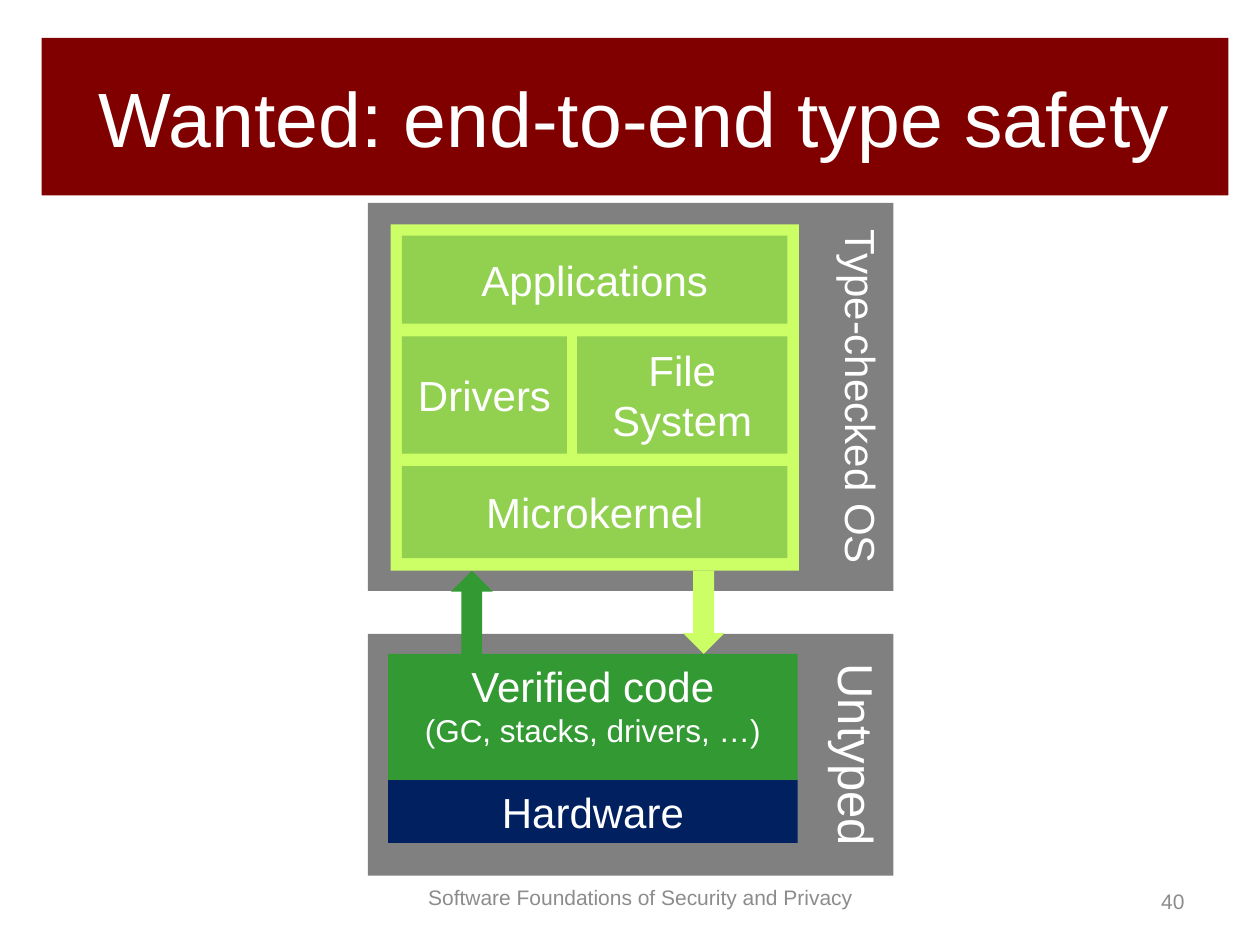
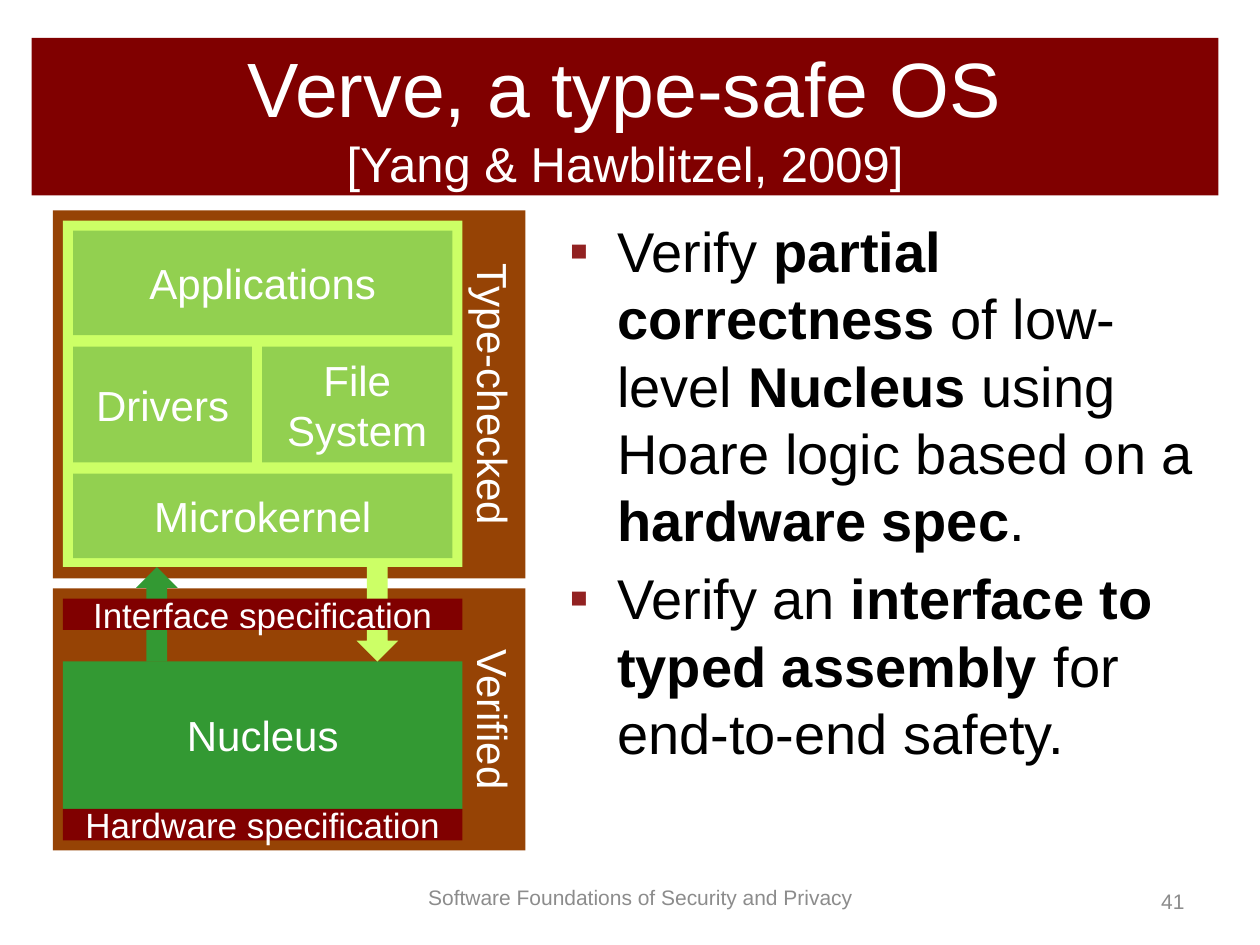
from lxml.etree import SubElement
from pptx import Presentation
from pptx.dml.color import RGBColor
from pptx.enum.shapes import MSO_SHAPE
from pptx.enum.text import MSO_ANCHOR, PP_ALIGN
from pptx.oxml.ns import qn
from pptx.util import Inches, Pt

FONT = "Arial"
WHITE = RGBColor(0xFF, 0xFF, 0xFF)
BLACK = RGBColor(0x00, 0x00, 0x00)
MAROON = RGBColor(0x80, 0x00, 0x00)
BULLET_RED = RGBColor(0x92, 0x22, 0x22)
FOOTER_GRAY = RGBColor(0x8C, 0x8C, 0x8C)
PANEL_GRAY = RGBColor(0x80, 0x80, 0x80)
PANEL_BROWN = RGBColor(0x96, 0x43, 0x05)
LIME = RGBColor(0xCC, 0xFF, 0x66)
TILE_GREEN = RGBColor(0x92, 0xD0, 0x50)
TRUSTED_GREEN = RGBColor(0x33, 0x99, 0x33)
NAVY = RGBColor(0x00, 0x20, 0x60)
ARROW_WIDTH = 0.33


def style_run(r, size, color, bold=False):
    """Apply the deck font to a run."""
    r.font.name = FONT
    r.font.size = Pt(size)
    r.font.color.rgb = color
    r.font.bold = bold


def add_block(slide, box, fill, *lines, kind=MSO_SHAPE.RECTANGLE,
              anchor=MSO_ANCHOR.MIDDLE, vertical=False):
    """Draw a filled shape holding centred (text, size) lines."""
    sp = slide.shapes.add_shape(kind, *map(Inches, box))
    sp.shadow.inherit = False
    sp.fill.solid()
    sp.fill.fore_color.rgb = fill
    sp.line.fill.background()
    tf = sp.text_frame
    tf.word_wrap = True
    tf.vertical_anchor = anchor
    if vertical:
        tf._txBody.bodyPr.set("vert", "vert")
    for i, (text, size) in enumerate(lines):
        p = tf.add_paragraph() if i else tf.paragraphs[0]
        p.alignment = PP_ALIGN.CENTER
        r = p.add_run()
        r.text = text
        style_run(r, size, WHITE)


def add_panel(slide, box, fill, name, size=24):
    """Draw a backing panel with its name running down the right side."""
    add_block(slide, box, fill, (name, size), anchor=MSO_ANCHOR.TOP, vertical=True)


def add_os_stack(slide, box, pad, gap, rows, drivers_width):
    """Lay out the typed operating system layers inside a lime box."""
    left, top, width, _ = box
    add_block(slide, box, LIME)
    x, y, inner = left + pad, top + pad, width - 2 * pad
    file_left = drivers_width + 0.08
    layers = [
        [("Applications", 0, inner)],
        [("Drivers", 0, drivers_width), ("File System", file_left, inner - file_left)],
        [("Microkernel", 0, inner)],
    ]
    for layer, height in zip(layers, rows):
        for name, dx, w in layer:
            add_block(slide, (x + dx, y, w, height), TILE_GREEN, (name, 24))
        y += height + gap


def add_call_arrows(slide, up_left, down_left, top, bottom):
    """Draw the upward and downward arrows between the two panels."""
    for kind, left, fill in ((MSO_SHAPE.DOWN_ARROW, down_left, LIME),
                             (MSO_SHAPE.UP_ARROW, up_left, TRUSTED_GREEN)):
        add_block(slide, (left, top, ARROW_WIDTH, bottom - top), fill, kind=kind)


def add_small_text(slide, box, text, align):
    """Write one grey footer text."""
    tf = slide.shapes.add_textbox(*map(Inches, box)).text_frame
    tf.word_wrap = True
    tf.vertical_anchor = MSO_ANCHOR.MIDDLE
    p = tf.paragraphs[0]
    p.text = text
    p.alignment = align
    style_run(p.runs[0], 12, FOOTER_GRAY)


def add_base_slide(prs, number, title_left, *title_lines):
    """Add a slide with the title band, footer and page number."""
    slide = prs.slides.add_slide(prs.slide_layouts[6])
    add_block(slide, (title_left, 0.3, 9.42, 1.25), MAROON, *title_lines)
    add_small_text(slide, (3.3, 6.92, 3.6, 0.4),
                   "Software Foundations of Security and Privacy", PP_ALIGN.LEFT)
    add_small_text(slide, (7.17, 6.95, 2.33, 0.4), str(number), PP_ALIGN.RIGHT)
    return slide


def add_bullets(slide, box, items):
    """Write square-bulleted paragraphs of (text, bold) pieces."""
    tf = slide.shapes.add_textbox(*map(Inches, box)).text_frame
    tf.word_wrap = True
    for i, pieces in enumerate(items):
        p = tf.add_paragraph() if i else tf.paragraphs[0]
        pPr = p._p.get_or_add_pPr()
        pPr.set("marL", str(Inches(0.38)))
        pPr.set("indent", str(-Inches(0.38)))
        color = SubElement(pPr, qn("a:buClr"))
        SubElement(color, qn("a:srgbClr"), val=str(BULLET_RED))
        SubElement(pPr, qn("a:buFont"), typeface=FONT)
        SubElement(pPr, qn("a:buChar"), char="▪")
        if i:
            p.space_before = Pt(6.4)
        for text, bold in pieces:
            r = p.add_run()
            r.text = text
            style_run(r, 32, BLACK, bold)


def build_wanted_slide(prs):
    """Show the typed system above untyped verified code."""
    slide = add_base_slide(prs, 40, 0.33, ("Wanted: end-to-end type safety", 44))
    add_panel(slide, (2.92, 5.03, 4.17, 1.92), PANEL_GRAY, "Untyped", 28)
    add_panel(slide, (2.92, 1.61, 4.17, 3.08), PANEL_GRAY, "Type-checked OS")
    add_os_stack(slide, (3.1, 1.78, 3.24, 2.75), 0.09, 0.1, (0.7, 0.93, 0.73), 1.31)
    add_block(slide, (3.08, 6.19, 3.25, 0.5), NAVY, ("Hardware", 24))
    add_block(slide, (3.08, 5.19, 3.25, 1), TRUSTED_GREEN, ("Verified code", 24),
              ("(GC, stacks, drivers, …)", 18), anchor=MSO_ANCHOR.TOP)
    add_call_arrows(slide, 3.58, 5.42, 4.53, 5.19)


def build_verve_slide(prs):
    """Show the verified system beside its two goals."""
    slide = add_base_slide(prs, 41, 0.25, ("Verve, a type-safe OS", 44),
                           ("[Yang & Hawblitzel, 2009]", 28))
    add_panel(slide, (0.42, 4.67, 3.75, 2.08), PANEL_BROWN, "Verified")
    add_panel(slide, (0.42, 1.67, 3.75, 2.92), PANEL_BROWN, "Type-checked")
    add_bullets(slide, (4.42, 1.67, 5.25, 4.83), [
        [("Verify ", False), ("partial correctness ", True), ("of low-level ", False),
         ("Nucleus", True), (" using Hoare logic based on a ", False),
         ("hardware spec", True), (".", False)],
        [("Verify an", False), (" interface to typed assembly ", True),
         ("for end-to-end safety.", False)],
    ])
    add_block(slide, (0.5, 5.25, 3.17, 1.17), TRUSTED_GREEN, ("Nucleus", 24))
    add_os_stack(slide, (0.5, 1.75, 3.17, 2.75), 0.08, 0.09, (0.83, 0.92, 0.67), 1.42)
    add_call_arrows(slide, 1.08, 2.83, 4.5, 5.25)
    for name, top in (("Hardware", 6.42), ("Interface", 4.75)):
        add_block(slide, (0.5, top, 3.17, 0.25), MAROON, (f"{name} specification", 20))


def main():
    """Build and save the deck."""
    prs = Presentation()
    prs.slide_width, prs.slide_height = Inches(10), Inches(7.5)
    build_wanted_slide(prs)
    build_verve_slide(prs)
    prs.save("out.pptx")


if __name__ == "__main__":
    main()
